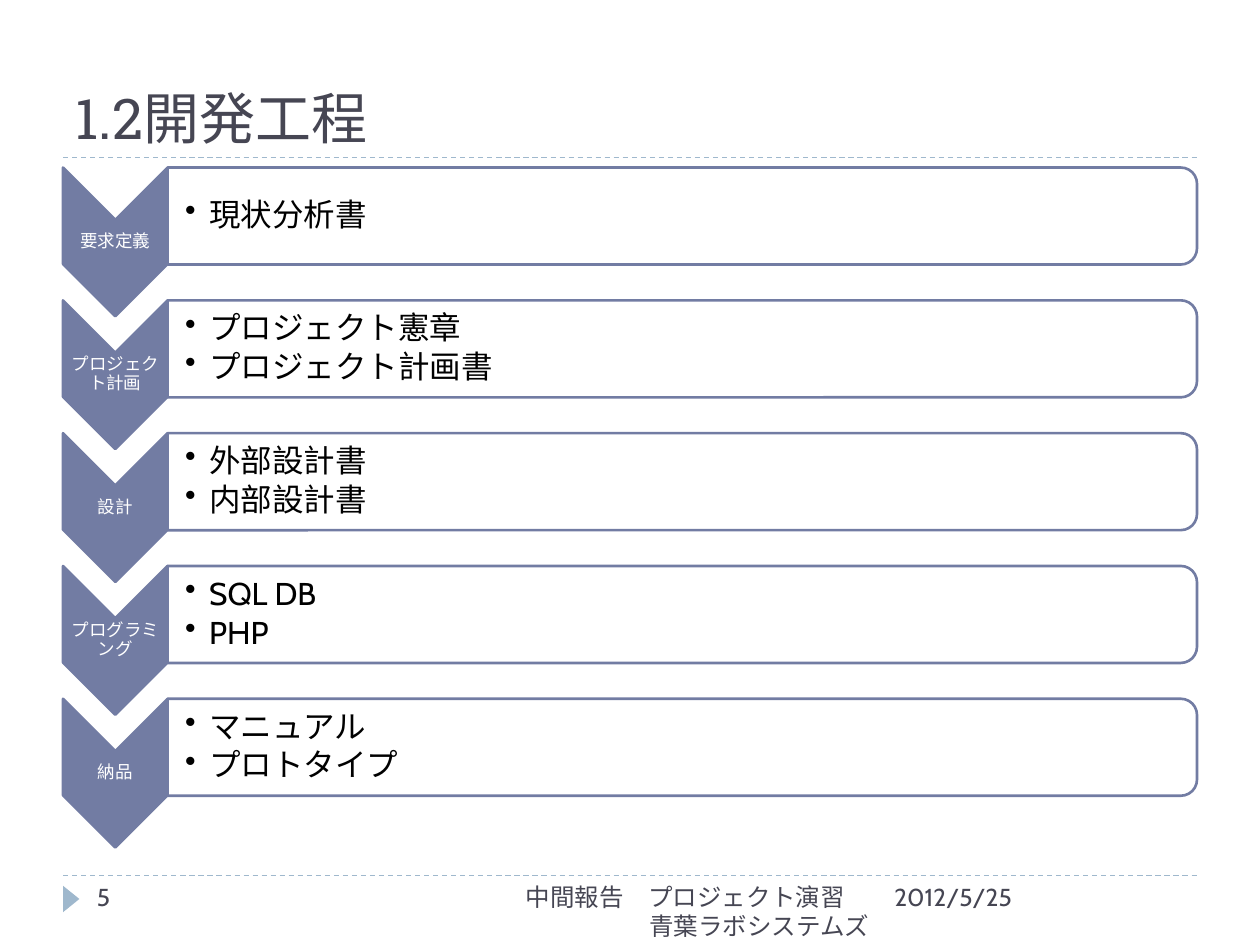
"""Build the development process slide: five phases and their deliverables."""
from lxml import etree
from pptx import Presentation
from pptx.dml.color import RGBColor
from pptx.enum.dml import MSO_LINE
from pptx.enum.shapes import MSO_CONNECTOR, MSO_SHAPE
from pptx.enum.text import MSO_ANCHOR, MSO_AUTO_SIZE, PP_ALIGN
from pptx.oxml.ns import qn
from pptx.util import Inches, Pt

LEFT, CENTER, RIGHT = PP_ALIGN.LEFT, PP_ALIGN.CENTER, PP_ALIGN.RIGHT
TOP, MIDDLE, BOTTOM = MSO_ANCHOR.TOP, MSO_ANCHOR.MIDDLE, MSO_ANCHOR.BOTTOM
CHEVRON, PANEL = MSO_SHAPE.CHEVRON, MSO_SHAPE.ROUND_2_SAME_RECTANGLE
TRIANGLE = MSO_SHAPE.ISOSCELES_TRIANGLE
STRAIGHT, DASH, NO_FIT = MSO_CONNECTOR.STRAIGHT, MSO_LINE.DASH, MSO_AUTO_SIZE.NONE

INK = RGBColor(0x46, 0x46, 0x53)
ACCENT = RGBColor(0x72, 0x7C, 0xA3)
PALE = RGBColor(0x9F, 0xB8, 0xCD)
WHITE = RGBColor(0xFF, 0xFF, 0xFF)
BLACK = RGBColor(0x00, 0x00, 0x00)

MARGIN, CONTENT_WIDTH = 0.5, 9
FOOTER_TOP, FOOTER_HEIGHT = 6.95, 0.4
FIRST_ROW, ROW_PITCH = 1.33, 1.054
PHASE_WIDTH, PHASE_HEIGHT = 0.83, 1.18
PANEL_LEFT, PANEL_WIDTH, PANEL_HEIGHT = MARGIN + PHASE_WIDTH, 8.17, 0.77

PHASES = [
    ("要求定義", ["現状分析書"]),
    ("プロジェクト計画", ["プロジェクト憲章", "プロジェクト計画書"]),
    ("設計", ["外部設計書", "内部設計書"]),
    ("プログラミング", ["SQL DB", "PHP"]),
    ("納品", ["マニュアル", "プロトタイプ"]),
]
FOOTERS = [
    (7, 2.5, "2012/5/25", LEFT),
    (3.17, 3.83, "中間報告　プロジェクト演習　\n青葉ラボシステムズ", RIGHT),
    (0.67, 2.17, "5", LEFT),
]


def write(box, text, size, color, align=LEFT, anchor=TOP, font="Cabin"):
    frame = box.text_frame
    frame.text = text
    frame.word_wrap = True
    frame.auto_size = NO_FIT
    frame.vertical_anchor = anchor
    for para in frame.paragraphs:
        para.alignment = align
        for span in para.runs:
            span.font.size = Pt(size)
            span.font.name = font
            span.font.color.rgb = color
    return frame


def add_turned(shapes, kind, center_x, center_y, width, height, fill, line=None):
    shape = shapes.add_shape(kind, Inches(center_x - width / 2), Inches(center_y - height / 2),
                             Inches(width), Inches(height))
    shape.rotation = 90
    shape.shadow.inherit = False
    shape.fill.solid()
    shape.fill.fore_color.rgb = fill
    if line is None:
        shape.line.fill.background()
    else:
        shape.line.color.rgb = line
        shape.line.width = Pt(1.5)
    return shape


deck = Presentation()
deck.slide_width, deck.slide_height = Inches(10), Inches(7.5)
page = deck.slides.add_slide(deck.slide_layouts[5])

for y in (FOOTER_TOP, 1.25):
    rule = page.shapes.add_connector(STRAIGHT, Inches(MARGIN), Inches(y),
                                     Inches(MARGIN + CONTENT_WIDTH), Inches(y))
    rule.line.color.rgb = PALE
    rule.line.width = Pt(0.75)
    rule.line.dash_style = DASH
    etree.SubElement(rule._element.spPr, qn("a:effectLst"))

add_turned(page.shapes, TRIANGLE, 0.565, 7.135, 0.21, 0.13, PALE)

title = page.shapes.title
title.left, title.top = Inches(MARGIN), Inches(0.17)
title.width, title.height = Inches(CONTENT_WIDTH), Inches(1.08)
write(title, "1.2開発工程", 32, INK, anchor=BOTTOM, font="Roboto Slab")

for left, width, text, align in FOOTERS:
    footer = page.shapes.add_textbox(Inches(left), Inches(FOOTER_TOP),
                                     Inches(width), Inches(FOOTER_HEIGHT))
    write(footer, text, 14, INK, align)

process = page.shapes.add_group_shape().shapes
for row, (phase, deliverables) in enumerate(PHASES):
    top = FIRST_ROW + row * ROW_PITCH
    add_turned(process, CHEVRON, MARGIN + PHASE_WIDTH / 2, top + PHASE_HEIGHT / 2,
               PHASE_HEIGHT, PHASE_WIDTH, ACCENT, ACCENT)
    label = process.add_textbox(Inches(MARGIN), Inches(top + PHASE_WIDTH / 2),
                                Inches(PHASE_WIDTH), Inches(0.35))
    label_frame = write(label, phase, 10, WHITE, CENTER, MIDDLE)

    panel = add_turned(process, PANEL, PANEL_LEFT + PANEL_WIDTH / 2, top + PANEL_HEIGHT / 2,
                       PANEL_HEIGHT, PANEL_WIDTH, WHITE, ACCENT)
    tint = panel._element.spPr.find(qn("a:solidFill")).find(qn("a:srgbClr"))
    etree.SubElement(tint, qn("a:alpha"), val="90000")
    listing = process.add_textbox(Inches(PANEL_LEFT), Inches(top + 0.04),
                                  Inches(8.13), Inches(0.69))
    listing_frame = write(listing, "\n".join(deliverables), 18, BLACK, anchor=MIDDLE)

    for frame, inset, after in ((label_frame, 0.01, 3.5), (listing_frame, 0.14, 2.7)):
        frame.margin_left = Inches(inset)
        frame.margin_top = frame.margin_right = frame.margin_bottom = Inches(0.01)
        for para in frame.paragraphs:
            para.line_spacing = 0.9
            para.space_after = Pt(after)
    for para in listing_frame.paragraphs:
        para.level = 1
        properties = para._p.get_or_add_pPr()
        properties.set("marL", str(Inches(0.19)))
        properties.set("indent", str(Inches(-0.19)))
        etree.SubElement(properties, qn("a:buChar"), char="•")

deck.save("out.pptx")
